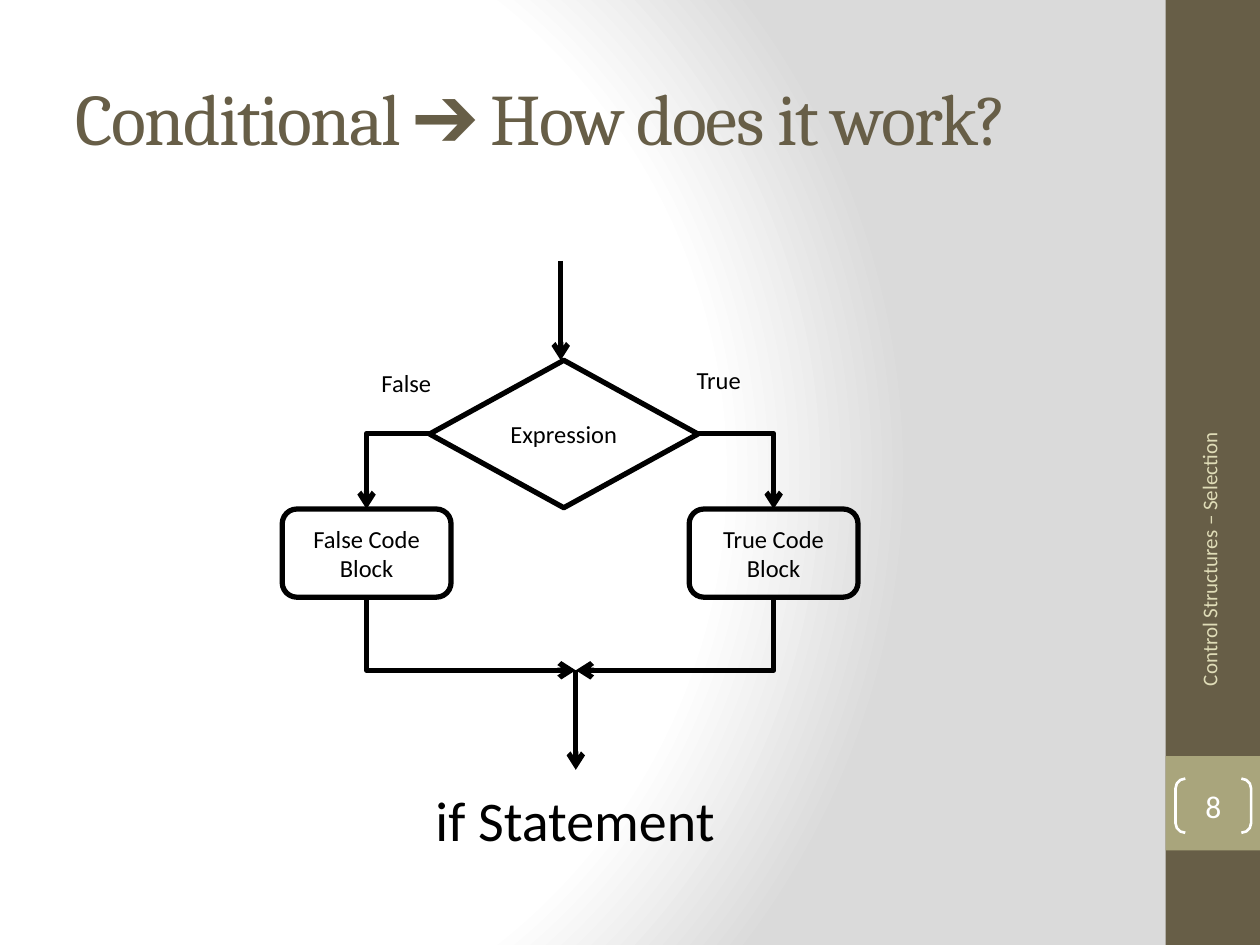
import pptx
import pptx.util
import pptx.dml.color
import pptx.enum.shapes
import pptx.enum.text
import pptx.oxml
import pptx.oxml.ns

Inches, Pt = pptx.util.Inches, pptx.util.Pt
RGBColor = pptx.dml.color.RGBColor
SHAPE = pptx.enum.shapes.MSO_SHAPE
LINE = pptx.enum.shapes.MSO_CONNECTOR
ALIGN = pptx.enum.text.PP_ALIGN
MIDDLE = pptx.enum.text.MSO_ANCHOR.MIDDLE
qn = pptx.oxml.ns.qn

BROWN = RGBColor(0x67, 0x5E, 0x47)
OLIVE = RGBColor(0xA9, 0xA5, 0x7C)
CREAM = RGBColor(0xDF, 0xDC, 0xB7)
WHITE = RGBColor(0xFF, 0xFF, 0xFF)
BLACK = RGBColor(0, 0, 0)

GRADIENT = (
    '<a:gradFill %s rotWithShape="1"><a:gsLst>'
    '<a:gs pos="0"><a:srgbClr val="FFFFFF"/></a:gs>'
    '<a:gs pos="75000"><a:srgbClr val="FFFFFF"/></a:gs>'
    '<a:gs pos="100000"><a:srgbClr val="DADADA"/></a:gs></a:gsLst>'
    '<a:path path="circle">'
    '<a:fillToRect l="20000" t="50000" r="100000" b="50000"/></a:path>'
    '</a:gradFill>' % pptx.oxml.ns.nsdecls("a"))


class Slide:
    """Holds the style and the current slide."""

    body_font, title_font = "Calibri", "Cambria"
    weight = 3

    def __init__(self, prs):
        """Add a title-only slide; shapes go to it until a group starts."""
        self.s = prs.slides.add_slide(prs.slide_layouts[5])
        self.shapes = self.s.shapes

    def background(self):
        """Set the circular gradient background."""
        self.s.background.fill.gradient()
        old = next(self.s.element.iter(qn("a:gradFill")))
        old.getparent().replace(old, pptx.oxml.parse_xml(GRADIENT))

    def label(self, sp, text, size, color, align=ALIGN.CENTER, font=None):
        """Put formatted text in a shape."""
        tf = sp.text_frame
        tf.text = text
        tf.word_wrap = True
        tf.vertical_anchor = MIDDLE
        p = tf.paragraphs[0]
        p.alignment = align
        r = p.runs[0]
        r.font.size = Pt(size)
        r.font.name = font or self.body_font
        r.font.color.rgb = color
        return r

    def title(self, text, x, y, w, h):
        """Move and format the title placeholder."""
        sp = self.s.shapes.title
        sp.left, sp.top, sp.width, sp.height = map(Inches, (x, y, w, h))
        r = self.label(sp, text, 41.4, BROWN, ALIGN.LEFT, self.title_font)
        r.font._element.set("spc", "-100")

    def shape(self, kind, x, y, w, h, fill=None, line=None, weight=None):
        """Add a preset shape with optional fill and line."""
        sp = self.shapes.add_shape(kind, *map(Inches, (x, y, w, h)))
        sp.shadow.inherit = False
        if fill is None:
            sp.fill.background()
        else:
            sp.fill.solid()
            sp.fill.fore_color.rgb = fill
        if line is None:
            sp.line.fill.background()
        else:
            sp.line.color.rgb = line
            sp.line.width = Pt(weight or self.weight)
        return sp

    def node(self, kind, text, x, y, w, h, line=BLACK):
        """Add a flowchart shape with its label."""
        self.label(self.shape(kind, x, y, w, h, line=line), text, 14, BLACK)

    def text(self, text, x, y, w, h, size, color, align=ALIGN.CENTER, rotation=0):
        """Add a text box."""
        sp = self.shapes.add_textbox(*map(Inches, (x, y, w, h)))
        sp.rotation = rotation
        self.label(sp, text, size, color, align)

    def arrow(self, start, end, bent=False, arrow_at="tail"):
        """Add an arrow; a bent one runs across first, then up or down."""
        kind = LINE.ELBOW if bent else LINE.STRAIGHT
        c = self.shapes.add_connector(kind, *map(Inches, start + end))
        c.line.color.rgb = BLACK
        c.line.width = Pt(self.weight)
        pr = c._element.spPr
        if bent:
            pr.find(qn("a:prstGeom")).set("prst", "bentConnector2")
        ln = pr.find(qn("a:ln"))
        ln.append(ln.makeelement(qn("a:%sEnd" % arrow_at), {"type": "arrow"}))
        pr.append(pr.makeelement(qn("a:effectLst")))


def flowchart(slide):
    """Draw the decision, its two branches and their merge."""
    slide.shapes = slide.s.shapes.add_group_shape().shapes
    middle, block_y, block_w, block_h = 3.44, 4.04, 1.34, 0.7
    merge = (4.57, 5.32)
    slide.node(SHAPE.FLOWCHART_DECISION, "Expression", 3.41, 2.86, 2.13, 1.17)
    slide.arrow((4.45, 2.07), (4.45, 2.86))
    branches = (("True", 5.53, 6.14, 5.35, 2.84),
                ("False", 3.41, 2.91, 2.87, 2.86))
    box = SHAPE.FLOWCHART_ALTERNATE_PROCESS
    for name, corner, center, label_x, label_y in branches:
        slide.node(box, name + " Code Block", center - block_w / 2, block_y,
                   block_w, block_h)
        slide.node(box, name, label_x, label_y, 0.71, 0.35, line=None)
        slide.arrow((corner, middle), (center, block_y), bent=True)
        slide.arrow(merge, (center, block_y + block_h), bent=True,
                    arrow_at="head")
    slide.arrow(merge, (4.57, 6.11))
    slide.text("if Statement", 2.88, 6.17, 3.37, 0.66, 32, BLACK)


def main():
    """Build the slide and save it."""
    prs = pptx.Presentation()
    prs.slide_width, prs.slide_height = Inches(10), Inches(7.5)
    slide = Slide(prs)
    slide.background()
    slide.shape(SHAPE.RECTANGLE, 9.25, 0, 0.75, 7.5, fill=BROWN)
    slide.shape(SHAPE.RECTANGLE, 9.25, 6, 0.75, 0.75, fill=OLIVE)
    slide.title("Conditional \u2794 How does it work?", 0.5, 0.3, 8.33, 1.25)
    slide.text("Control Structures \u2013 Selection", 8.3, 4.43, 2.59, 0.4,
               12, CREAM, ALIGN.RIGHT, 270)
    number = slide.shape(SHAPE.DOUBLE_BRACKET, 9.33, 6.18, 0.6, 0.43,
                         line=WHITE, weight=1.5)
    number.adjustments[0] = 0.18
    tf = number.text_frame
    tf.margin_left = tf.margin_right = tf.margin_top = tf.margin_bottom = 0
    slide.label(number, "8", 18, WHITE)
    flowchart(slide)
    prs.save("out.pptx")


main()
